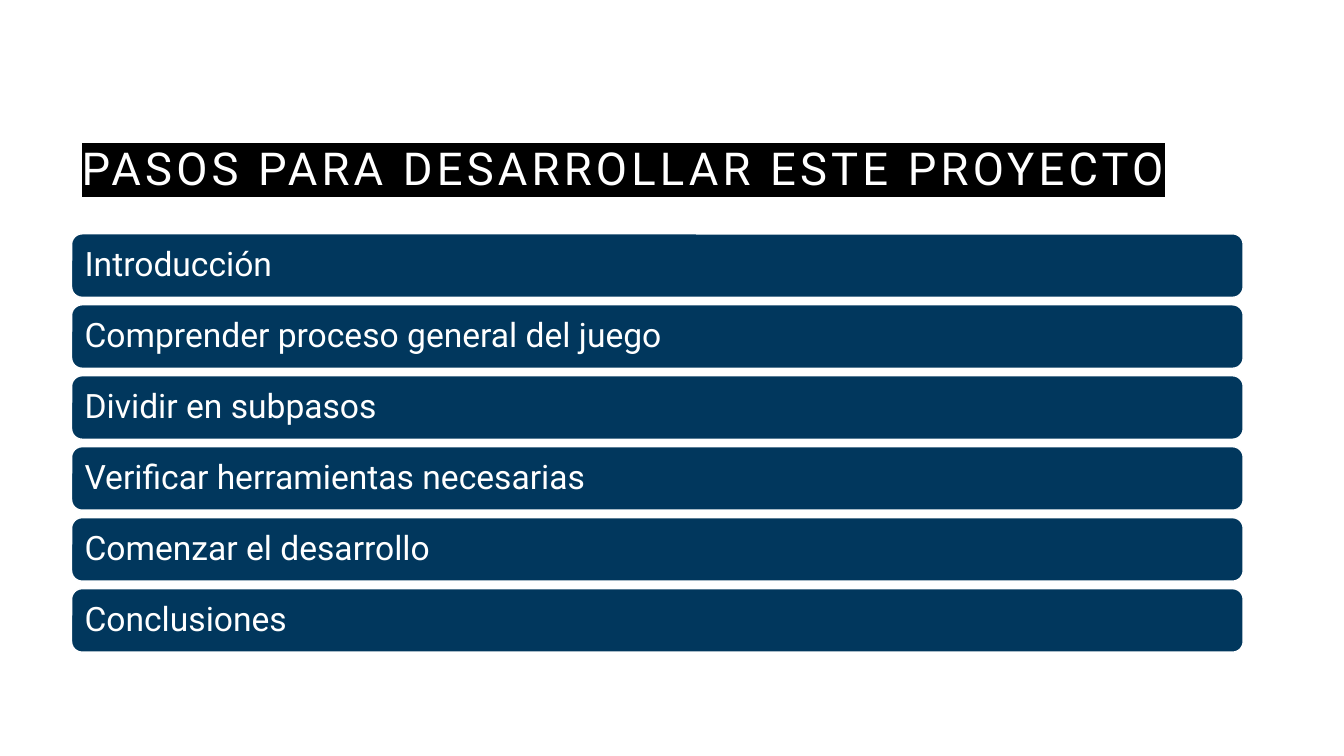
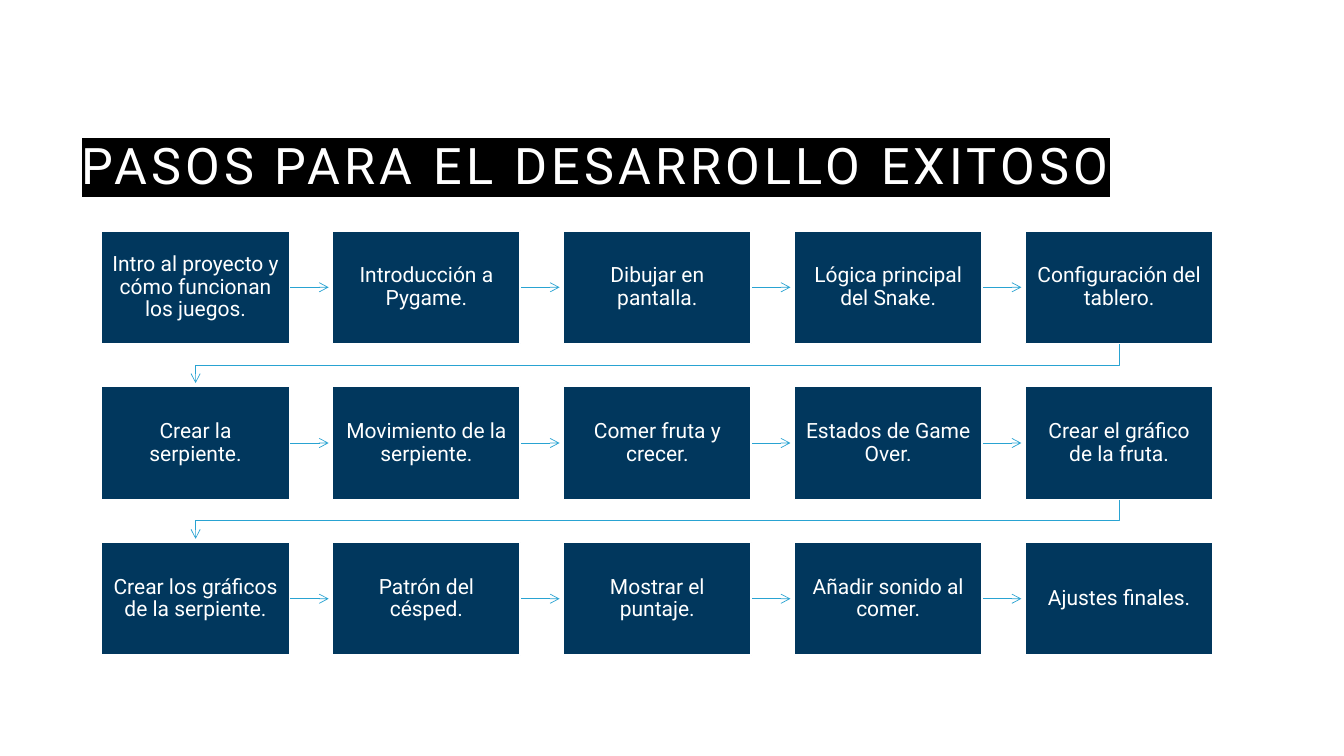
from dataclasses import dataclass

from lxml import etree
from pptx import Presentation
from pptx.dml.color import RGBColor
from pptx.enum.shapes import MSO_CONNECTOR, MSO_SHAPE
from pptx.enum.text import MSO_ANCHOR, MSO_AUTO_SIZE, PP_ALIGN
from pptx.oxml.ns import qn
from pptx.util import Inches, Pt

LEFT, CENTER = PP_ALIGN.LEFT, PP_ALIGN.CENTER
MIDDLE, BOTTOM = MSO_ANCHOR.MIDDLE, MSO_ANCHOR.BOTTOM
RECT, ROUNDED = MSO_SHAPE.RECTANGLE, MSO_SHAPE.ROUNDED_RECTANGLE
STRAIGHT = MSO_CONNECTOR.STRAIGHT
TITLE_ONLY = 5

# Content
AGENDA_TITLE = "PASOS PARA DESARROLLAR ESTE PROYECTO"
AGENDA = [
    "Introducción",
    "Comprender proceso general del juego",
    "Dividir en subpasos",
    "Verificar herramientas necesarias",
    "Comenzar el desarrollo",
    "Conclusiones",
]
FLOW_TITLE = "PASOS PARA EL DESARROLLO EXITOSO"
FLOW = [
    ["Intro al proyecto y cómo funcionan los juegos.", "Introducción a Pygame.",
     "Dibujar en pantalla.", "Lógica principal del Snake.",
     "Configuración del tablero."],
    ["Crear la serpiente.", "Movimiento de la serpiente.",
     "Comer fruta y crecer.", "Estados de Game Over.",
     "Crear el gráfico de la fruta."],
    ["Crear los gráficos de la serpiente.", "Patrón del césped.",
     "Mostrar el puntaje.", "Añadir sonido al comer.", "Ajustes finales."],
]


@dataclass(frozen=True)
class Theme:
    font: str = "Roboto"
    navy: str = "01375D"
    sky: str = "29A3D2"
    white: str = "FFFFFF"
    black: str = "000000"
    agenda_title_size: float = 32.4
    flow_title_size: float = 36
    agenda_size: float = 24
    flow_size: float = 15
    border: float = 1
    arrow: float = 0.5


THEME = Theme()

# Shared frame
MARGIN, CONTENT_WIDTH = 0.71, 11.62
TITLE_TOP, TITLE_HEIGHT = 0.71, 1.25

# Agenda bars
BARS_TOP, BARS_BOTTOM, BAR_HEIGHT = 2.32, 6.47, 0.63

# Flow grid
GRID_LEFT, GRID_TOP, GRID_BOTTOM = 1.01, 2.29, 6.5
STEP_WIDTH, STEP_HEIGHT, COLUMN_PITCH = 1.86, 1.12, 2.29
ARROW_LENGTH, TURN_DROP = 0.39, 0.21


def color(value):
    return RGBColor.from_string(value)


def write(shape, text, size, align=LEFT, anchor=MIDDLE, spacing=0.9,
          insets=(0.1, 0.1, 0.1, 0.1), tracking=None, highlight=None):
    frame = shape.text_frame
    frame.word_wrap = True
    frame.auto_size = MSO_AUTO_SIZE.NONE
    frame.vertical_anchor = anchor
    (frame.margin_left, frame.margin_top,
     frame.margin_right, frame.margin_bottom) = map(Inches, insets)
    para = frame.paragraphs[0]
    para.alignment = align
    para.line_spacing = spacing
    span = para.add_run()
    span.text = text
    span.font.name = THEME.font
    span.font.size = Pt(size)
    span.font.color.rgb = color(THEME.white)
    properties = span.font._element
    if tracking:
        properties.set("spc", str(int(tracking * 100)))
    if highlight:
        mark = etree.Element(qn("a:highlight"))
        etree.SubElement(mark, qn("a:srgbClr"), val=highlight)
        properties.find(qn("a:solidFill")).addnext(mark)


def add_titled_slide(deck, text, size):
    page = deck.slides.add_slide(deck.slide_layouts[TITLE_ONLY])
    title = page.shapes.title
    title.left, title.top = Inches(MARGIN), Inches(TITLE_TOP)
    title.width, title.height = Inches(CONTENT_WIDTH), Inches(TITLE_HEIGHT)
    write(title, text, size, anchor=BOTTOM, spacing=1.2,
          insets=(0.1, 0.05, 0.1, 0.03), tracking=3, highlight=THEME.black)
    return page


def add_box(page, kind, left, top, width, height):
    box = page.shapes.add_shape(kind, Inches(left), Inches(top),
                                Inches(width), Inches(height))
    box.shadow.inherit = False
    box.fill.solid()
    box.fill.fore_color.rgb = color(THEME.navy)
    box.line.color.rgb = color(THEME.white)
    box.line.width = Pt(THEME.border)
    return box


def add_arrow(page, points):
    """Straight connector for two points, open outline for a bent route."""
    places = [(Inches(x), Inches(y)) for x, y in points]
    if len(places) == 2:
        arrow = page.shapes.add_connector(STRAIGHT, *places[0], *places[1])
        etree.SubElement(arrow._element.spPr, qn("a:effectLst"))
    else:
        builder = page.shapes.build_freeform(*places[0])
        builder.add_line_segments(places[1:], close=False)
        arrow = builder.convert_to_shape()
        arrow.shadow.inherit = False
        arrow.fill.background()
    arrow.line.color.rgb = color(THEME.sky)
    arrow.line.width = Pt(THEME.arrow)
    etree.SubElement(arrow.line._get_or_add_ln(), qn("a:tailEnd"), type="arrow")


def build_agenda(deck):
    page = add_titled_slide(deck, AGENDA_TITLE, THEME.agenda_title_size)
    pitch = (BARS_BOTTOM - BARS_TOP - BAR_HEIGHT) / (len(AGENDA) - 1)
    for index, text in enumerate(AGENDA):
        bar = add_box(page, ROUNDED, MARGIN, BARS_TOP + index * pitch,
                      CONTENT_WIDTH, BAR_HEIGHT)
        write(bar, text, THEME.agenda_size)


def build_flow(deck):
    page = add_titled_slide(deck, FLOW_TITLE, THEME.flow_title_size)
    row_pitch = (GRID_BOTTOM - GRID_TOP - STEP_HEIGHT) / (len(FLOW) - 1)
    first_center = GRID_LEFT + STEP_WIDTH / 2
    for row, steps in enumerate(FLOW):
        top = GRID_TOP + row * row_pitch
        middle, bottom = top + STEP_HEIGHT / 2, top + STEP_HEIGHT
        for column, text in enumerate(steps):
            left = GRID_LEFT + column * COLUMN_PITCH
            right, center = left + STEP_WIDTH, left + STEP_WIDTH / 2
            if column < len(steps) - 1:
                add_arrow(page, [(right, middle),
                                 (right + ARROW_LENGTH, middle)])
            elif row < len(FLOW) - 1:
                turn = bottom + TURN_DROP
                add_arrow(page, [(center, bottom), (center, turn),
                                 (first_center, turn),
                                 (first_center, bottom + ARROW_LENGTH)])
            step = add_box(page, RECT, left, top, STEP_WIDTH, STEP_HEIGHT)
            write(step, text, THEME.flow_size, align=CENTER,
                  insets=(0.09, 0.1, 0.09, 0.1))


def main():
    deck = Presentation()
    deck.slide_width, deck.slide_height = Inches(13.33), Inches(7.5)
    build_agenda(deck)
    build_flow(deck)
    deck.save("out.pptx")


if __name__ == "__main__":
    main()
